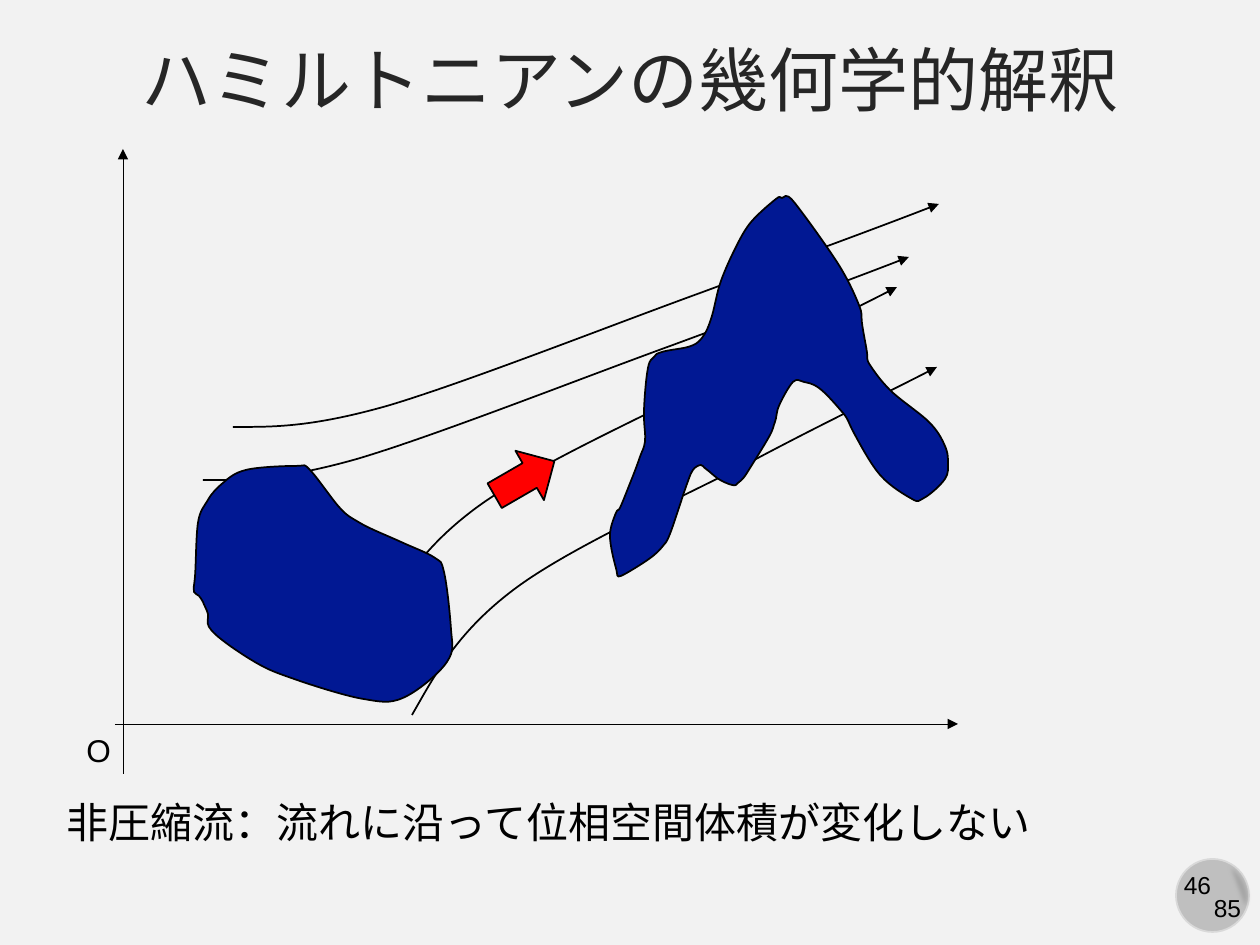
import pptx
import pptx.util
import pptx.dml.color
import pptx.enum.shapes
import pptx.enum.text
import pptx.oxml
import pptx.oxml.ns

PX = 914400 / 126  # EMU per pixel
RGB = pptx.dml.color.RGBColor
SHAPES = pptx.enum.shapes.MSO_SHAPE
ALIGN = pptx.enum.text.PP_ALIGN
qn = pptx.oxml.ns.qn

BACKGROUND = RGB(0xF2, 0xF2, 0xF2)
TITLE = RGB(0x26, 0x26, 0x26)
BLACK = RGB(0, 0, 0)
NAVY = RGB(0x01, 0x18, 0x93)
RED = RGB(0xFF, 0, 0)
DISC = RGB(0xBF, 0xBF, 0xBF)
DISC_EDGE = RGB(0xD9, 0xD9, 0xD9)
DISC_SHADE = RGB(0xA6, 0xA6, 0xA6)


def emu(*lengths):
    return [round(length * PX) for length in lengths]


def add_curve(points, closed=False):
    """Draw cubic Bezier segments: a start, then triples of two handles and an end."""
    builder = page.shapes.build_freeform(*points[0], scale=PX)
    builder.add_line_segments(points[1:], close=closed)
    curve = builder.convert_to_shape()
    outline = curve._element.find(".//" + qn("a:path"))
    segments = outline.findall(qn("a:lnTo"))
    for i in range(0, len(segments), 3):
        bezier = outline.makeelement(qn("a:cubicBezTo"), {})
        segments[i].addprevious(bezier)
        for segment in segments[i:i + 3]:
            bezier.append(segment[0])
            outline.remove(segment)
    curve.shadow.inherit = False
    curve.line.color.rgb = BLACK
    curve.line.width = pptx.util.Pt(1)
    return curve


deck = pptx.Presentation()
deck.slide_width, deck.slide_height = emu(1260, 945)
page = deck.slides.add_slide(deck.slide_layouts[5])
page.background.fill.solid()
page.background.fill.fore_color.rgb = BACKGROUND

# Title
title = page.shapes.title
title.left, title.top, title.width, title.height = emu(0, 26, 1260, 104)
title.text_frame.text = "ハミルトニアンの幾何学的解釈"
title.text_frame.vertical_anchor = pptx.enum.text.MSO_ANCHOR.MIDDLE
para = title.text_frame.paragraphs[0]
para.alignment = ALIGN.CENTER
para.font.size = pptx.util.Pt(40)
para.font.name = "Arial"
para.font.color.rgb = TITLE

# Page number disc
disc = page.shapes.add_shape(SHAPES.OVAL, *emu(1176, 859, 73, 73))
disc.shadow.inherit = False
disc.fill.solid()
disc.fill.fore_color.rgb = DISC
disc.line.color.rgb = DISC_EDGE
disc.line.width = pptx.util.Pt(1)

shade = page.shapes.add_shape(SHAPES.CHORD, *emu(1174, 857, 78, 78))
shade.adjustments[0] = 16.2
shade.adjustments[1] = 84.85
shade.rotation = 255
shade.shadow.inherit = False
shade.fill.solid()
shade.fill.fore_color.rgb = DISC_SHADE
shade.line.fill.background()
effects = shade._element.spPr.find(qn("a:effectLst"))
effects.append(effects.makeelement(qn("a:softEdge"), {"rad": "31750"}))

# Axes
arrow_lines = []
for ends in [(115, 724, 958, 724), (123, 774, 123, 149)]:
    axis = page.shapes.add_connector(pptx.enum.shapes.MSO_CONNECTOR.STRAIGHT, *emu(*ends))
    axis.line.color.rgb = BLACK
    axis.line.width = pptx.util.Pt(0.5)
    spPr = axis._element.spPr
    spPr.append(spPr.makeelement(qn("a:effectLst"), {}))
    arrow_lines.append(axis)

# Flow lines: two forms, each drawn twice with an offset
steep = [(372, 635), (396, 593), (418, 551), (476, 508), (534, 465),
         (648, 415), (718, 378), (788, 341), (843, 315), (897, 287)]
gentle = [(233, 427), (271, 427), (309, 428), (387, 406), (465, 383),
          (612, 325), (703, 292), (795, 258), (867, 232), (939, 204)]
for form, dx, dy in [(steep, 0, 0), (gentle, 0, 0), (gentle, -30, 53), (steep, 40, 80)]:
    flow = add_curve([(x + dx, y + dy) for x, y in form])
    flow.fill.background()
    arrow_lines.append(flow)

for arrow_line in arrow_lines:
    line = arrow_line.line._get_or_add_ln()
    line.append(line.makeelement(qn("a:tailEnd"), {"type": "triangle"}))

# Phase-space regions before and after the flow, smoothed through their outline points
region_before = [
    (194, 592), (195, 577), (198, 523), (208, 500), (223, 483), (246, 470),
    (296, 466), (310, 470), (339, 507), (360, 523), (401, 542), (435, 558),
    (444, 572), (451, 629), (447, 662), (403, 698), (363, 699), (294, 679),
    (260, 665), (226, 643), (209, 627), (208, 614), (203, 602), (199, 596)]
region_after = [
    (640, 457), (645, 442), (644, 415), (648, 368), (654, 357), (662, 352),
    (688, 347), (702, 338), (712, 316), (721, 281), (735, 249), (752, 221),
    (776, 199), (782, 198), (794, 202), (837, 262), (859, 305), (862, 323),
    (867, 352), (870, 365), (890, 390), (929, 422), (945, 446), (948, 462),
    (945, 479), (924, 498), (912, 499), (881, 476), (854, 433), (843, 413),
    (819, 388), (804, 382), (793, 382), (779, 406), (775, 422), (769, 437),
    (747, 473), (738, 483), (732, 485), (717, 478), (706, 469), (701, 465),
    (693, 470), (687, 484), (670, 534), (663, 546), (649, 559), (621, 576),
    (616, 568), (610, 536), (616, 513), (620, 508), (629, 486), (633, 476)]
for region in [region_before, region_after]:
    points = [region[0]]
    count = len(region)
    for i in range(count):
        (ax, ay), (bx, by), (cx, cy), (ex, ey) = [region[(i + k) % count] for k in (-1, 0, 1, 2)]
        points += [(bx + (cx - ax) / 6, by + (cy - ay) / 6),
                   (cx - (ex - bx) / 6, cy - (ey - by) / 6), (cx, cy)]
    blob = add_curve(points, closed=True)
    blob.fill.solid()
    blob.fill.fore_color.rgb = NAVY

# Direction of the flow
direction = page.shapes.add_shape(SHAPES.RIGHT_ARROW, *emu(490, 450, 69, 57))
direction.rotation = 330
direction.shadow.inherit = False
direction.fill.solid()
direction.fill.fore_color.rgb = RED
direction.line.color.rgb = BLACK
direction.line.width = pptx.util.Pt(1)

# Labels
for text, area, size, alignment in [
        ("46", (1170, 864, 55, 43), 14, ALIGN.CENTER),
        ("85", (1201, 887, 53, 43), 14, ALIGN.CENTER),
        ("O", (74, 725, 50, 50), 18, ALIGN.LEFT),
        ("非圧縮流：流れに沿って位相空間体積が変化しない", (54, 790, 1000, 63), 24, ALIGN.LEFT)]:
    box = page.shapes.add_textbox(*emu(*area))
    box.text_frame.word_wrap = False
    box.text_frame.text = text
    para = box.text_frame.paragraphs[0]
    para.alignment = alignment
    para.font.size = pptx.util.Pt(size)
    para.font.name = "Arial"
    para.font.color.rgb = BLACK

deck.save("out.pptx")
